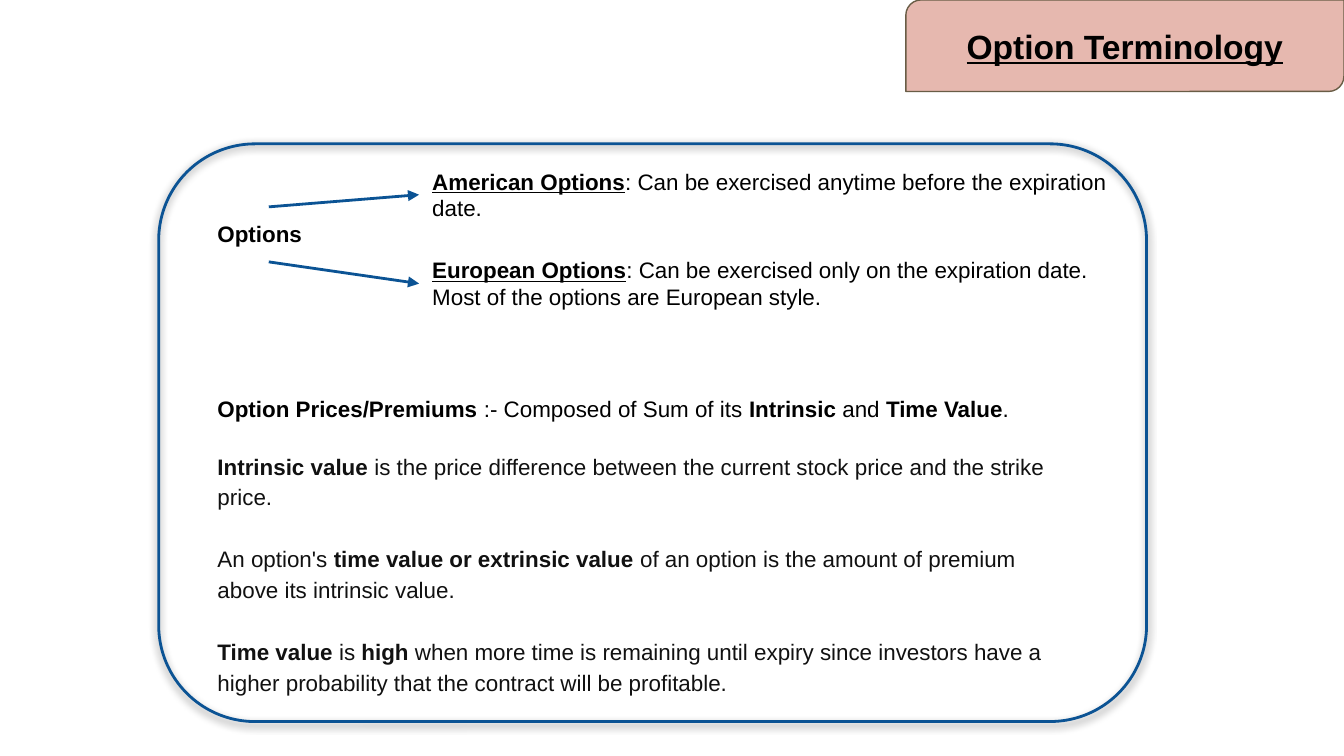
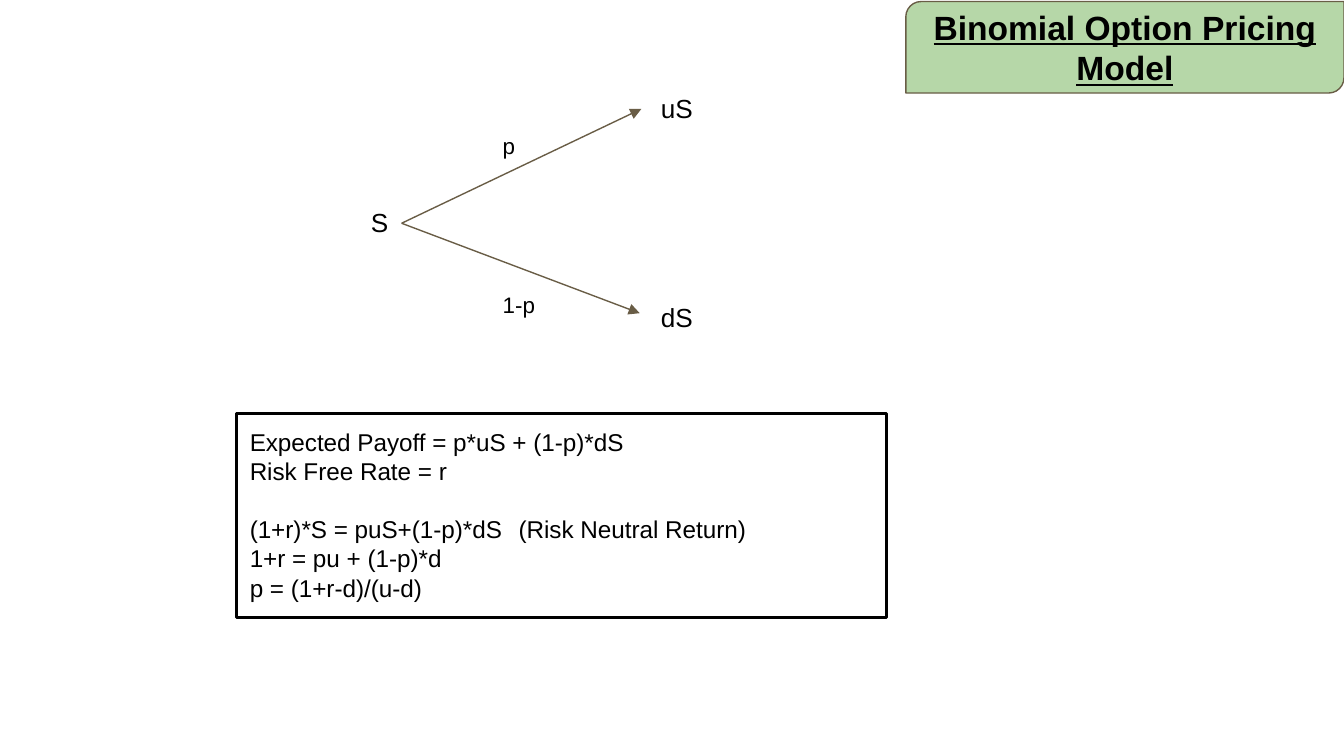
from dataclasses import dataclass

from lxml.etree import SubElement
from pptx import Presentation
from pptx.dml.color import RGBColor
from pptx.enum.shapes import MSO_CONNECTOR as CONNECTOR, MSO_SHAPE as SHAPE
from pptx.enum.text import MSO_ANCHOR as ANCHOR, MSO_AUTO_SIZE as AUTO_SIZE, PP_ALIGN as ALIGN
from pptx.oxml.ns import qn
from pptx.util import Cm, Pt


@dataclass(frozen=True)
class Theme:
    font: str = "Arial"
    black: str = "000000"
    ink: str = "111111"
    blue: str = "0B5394"
    brown: str = "695D46"
    pink: str = "E6B8AF"
    green: str = "B6D7A8"
    title_size: float = 18
    node_size: float = 14
    formula_size: float = 13
    text_size: float = 12
    thick: float = 1.5
    thin: float = 0.75
    inset: float = 0.25


THEME = Theme()
TITLE_AND_CONTENT = 1
BOLD = {"bold": True}
HEADING = {"bold": True, "underline": True}


def set_attributes(target, values):
    for name, value in values.items():
        setattr(target, name, value)


def place(shape, left, top, width, height):
    set_attributes(shape, {"left": Cm(left), "top": Cm(top),
                           "width": Cm(width), "height": Cm(height)})


def set_line(line, color, width):
    line.color.rgb = RGBColor.from_string(color)
    line.width = Pt(width)


def fill_paragraph(paragraph, runs, size, color=THEME.black, **layout):
    """Write runs, given as plain strings or (string, font format) pairs."""
    set_attributes(paragraph, {"space_before": Pt(0), **layout})
    for item in runs:
        text, emphasis = (item, {}) if isinstance(item, str) else item
        run = paragraph.add_run()
        run.text = text
        set_attributes(run.font, {"name": THEME.font, "size": Pt(size),
                                  "bold": False, **emphasis})
        run.font.color.rgb = RGBColor.from_string(color)


def prepare_frame(shape, anchor=ANCHOR.TOP):
    frame = shape.text_frame
    margins = ("margin_left", "margin_top", "margin_right", "margin_bottom")
    set_attributes(frame, {"word_wrap": True, "auto_size": AUTO_SIZE.NONE,
                           "vertical_anchor": anchor,
                           **dict.fromkeys(margins, Cm(THEME.inset))})
    return frame


def add_titled_slide(presentation, title, color, top=0):
    slide = presentation.slides.add_slide(
        presentation.slide_layouts[TITLE_AND_CONTENT])
    bounds = (17.12, top, 8.28, 1.73)
    tab = slide.shapes.add_shape(SHAPE.ROUND_2_DIAG_RECTANGLE, 0, 0, 0, 0)
    place(tab, *bounds)
    tab.fill.solid()
    tab.fill.fore_color.rgb = RGBColor.from_string(color)
    set_line(tab.line, THEME.brown, THEME.thin)
    tab.shadow.inherit = False

    heading = slide.shapes.title
    heading.element.addprevious(tab.element)
    place(heading, *bounds)
    frame = prepare_frame(heading, ANCHOR.MIDDLE)
    fill_paragraph(frame.paragraphs[0], [(title, HEADING)], THEME.title_size,
                   alignment=ALIGN.CENTER)
    return slide


def add_text(slide, bounds, runs, size=THEME.text_size):
    box = slide.shapes.add_textbox(0, 0, 0, 0)
    place(box, *bounds)
    fill_paragraph(prepare_frame(box).paragraphs[0], runs, size)


def fill_body(slide, bounds, paragraphs, tab_stop=None):
    """Fill the body placeholder without bullets; each paragraph is a dict for fill_paragraph."""
    body = slide.placeholders[1]
    place(body, *bounds)
    frame = prepare_frame(body)
    for index, values in enumerate(paragraphs):
        paragraph = frame.add_paragraph() if index else frame.paragraphs[0]
        fill_paragraph(paragraph, **values)
        properties = paragraph._p.get_or_add_pPr()
        properties.set("marL", "0")
        properties.set("indent", "0")
        SubElement(properties, qn("a:buNone"))
        if tab_stop:
            stops = SubElement(properties, qn("a:tabLst"))
            SubElement(stops, qn("a:tab"), pos=str(Cm(tab_stop)), algn="l")
    return body


def add_arrow(slide, start, end, color, width):
    points = [Cm(value) for value in (*start, *end)]
    arrow = slide.shapes.add_connector(CONNECTOR.STRAIGHT, *points)
    set_line(arrow.line, color, width)
    SubElement(arrow.line._get_or_add_ln(), qn("a:tailEnd"), type="triangle")
    SubElement(arrow.element.spPr, qn("a:effectLst"))


def add_shadowed_panel(slide, bounds):
    panel = slide.shapes.add_shape(SHAPE.ROUNDED_RECTANGLE, 0, 0, 0, 0)
    place(panel, *bounds)
    panel.fill.background()
    set_line(panel.line, THEME.blue, THEME.thick)
    panel.shadow.inherit = False
    effects = panel.element.spPr.find(qn("a:effectLst"))
    shadow = SubElement(effects, qn("a:outerShdw"), blurRad=str(Pt(4.5)),
                        dist=str(Pt(1.5)), dir="5400000", algn="bl", rotWithShape="0")
    color = SubElement(shadow, qn("a:srgbClr"), val=THEME.black)
    SubElement(color, qn("a:alpha"), val="50000")


def build_terminology(presentation):
    slide = add_titled_slide(presentation, "Option Terminology", THEME.pink)
    add_text(slide, (3.86, 3.91, 2.44, 1.02), [("Options", BOLD)])
    styles = [
        ("American Options", ": Can be exercised anytime before the expiration date.",
         2.92, 3.91, 3.68),
        ("European Options", ": Can be exercised only on the expiration date. "
         "Most of the options are European style.", 4.6, 4.95, 5.36),
    ]
    for name, meaning, top, arrow_start, arrow_end in styles:
        add_text(slide, (7.92, top, 13.7, 1.55), [(name, HEADING), meaning])
        add_arrow(slide, (5.08, arrow_start), (7.92, arrow_end), THEME.blue, THEME.thick)

    premium = [("Option Prices/Premiums", BOLD), " :- Composed of Sum of its ",
               ("Intrinsic", BOLD), " and ", ("Time Value", BOLD), "."]
    definitions = [
        [("Intrinsic value", BOLD), " is the price difference between the current "
         "stock price and the strike price."],
        ["An option's ", ("time value or extrinsic value", BOLD),
         " of an option is the amount of premium above its intrinsic value."],
        [("Time value ", BOLD), "is ", ("high ", BOLD),
         "when more time is remaining until expiry since investors have a higher "
         "probability that the contract will be profitable."],
    ]
    paragraphs = [{"runs": premium, "size": THEME.text_size}]
    for gap, runs in zip((14.5, 16.6, 16.6), definitions):
        paragraphs.append({"runs": runs, "size": THEME.text_size, "color": THEME.ink,
                           "line_spacing": 1.15, "space_before": Pt(gap)})
    fill_body(slide, (3.86, 7.21, 16.66, 6.17), paragraphs)
    add_shadowed_panel(slide, (3, 2.72, 18.67, 10.92))


def build_binomial_model(presentation):
    slide = add_titled_slide(presentation, "Binomial Option Pricing Model",
                             THEME.green, top=0.03)
    add_text(slide, (6.76, 3.66, 0.84, 1.12), ["S"], THEME.node_size)
    branches = [("uS", 1.5, "p", 2.24, (12.12, 2.06)),
                ("dS", 5.44, "1-p", 5.26, (12.09, 5.92))]
    for node, node_top, chance, chance_top, tip in branches:
        add_arrow(slide, (7.59, 4.22), tip, THEME.brown, THEME.thin)
        add_text(slide, (12.24, node_top, 1.22, 1.12), [node], THEME.node_size)
        add_text(slide, (9.25, chance_top, 1.22, 1.02), [chance])

    formula_groups = [
        ["Expected Payoff = p*uS + (1-p)*dS", "Risk Free Rate = r"],
        ["(1+r)*S = puS+(1-p)*dS\t(Risk Neutral Return)",
         "1+r = pu + (1-p)*d", "p = (1+r-d)/(u-d)"],
    ]
    paragraphs = [
        {"runs": [formula], "size": THEME.formula_size,
         "space_before": Pt(15.7 if group and not row else 0)}
        for group, formulas in enumerate(formula_groups)
        for row, formula in enumerate(formulas)
    ]
    box = fill_body(slide, (4.47, 7.82, 12.29, 3.86), paragraphs, tab_stop=5.92)
    set_line(box.line, THEME.black, THEME.thick)


def main():
    presentation = Presentation()
    set_attributes(presentation, {"slide_width": Cm(25.4), "slide_height": Cm(14.29)})
    build_terminology(presentation)
    build_binomial_model(presentation)
    presentation.save("out.pptx")


if __name__ == "__main__":
    main()
